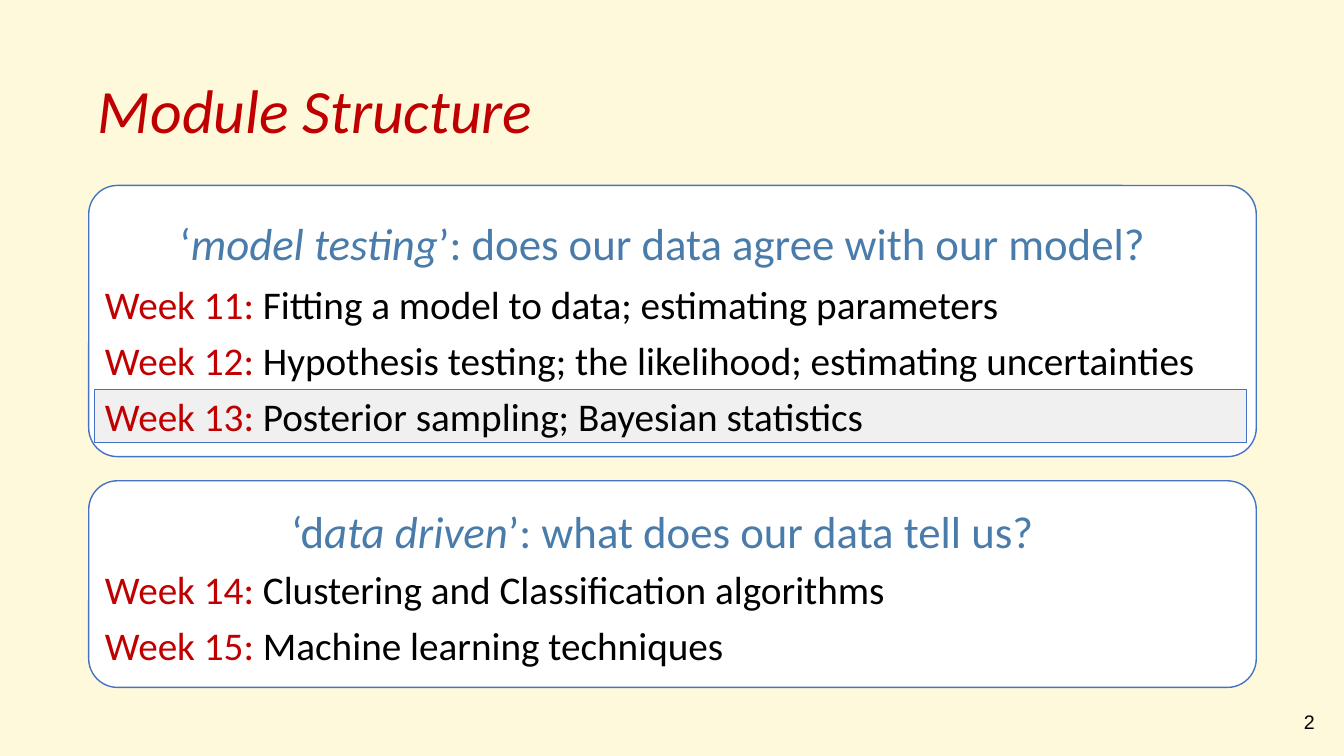
from dataclasses import dataclass

from pptx import Presentation
from pptx.dml.color import RGBColor as Rgb
from pptx.enum.shapes import MSO_SHAPE as Shape
from pptx.enum.text import MSO_ANCHOR as Anchor, PP_ALIGN as Align
from pptx.util import Inches, Pt

SLIDE_W, SLIDE_H = Inches(13.33), Inches(7.5)


@dataclass(frozen=True)
class Theme:
    """Colours, fonts and type sizes of the slide."""
    background: str = "FFF9DC"
    panel: str = "FFFFFF"
    highlight: str = "F0F0F0"
    outline: str = "4472C4"
    accent: str = "C00000"
    heading: str = "497CAA"
    ink: str = "000000"
    font: str = "Calibri"
    number_font: str = "Arial"
    title_size: int = 44
    heading_size: int = 32
    week_size: int = 28
    number_size: int = 14
    corner: float = 3.8
    week_pitch: float = 7.55


THEME = Theme()


def place(box):
    """Turn left, top, width and height in percent of the slide into lengths."""
    return [int(share * side / 100) for share, side in zip(box, (SLIDE_W, SLIDE_H) * 2)]


def add_outlined(slide, kind, box, fill, weight):
    """Add a filled preset shape with a thin outline."""
    outlined = slide.shapes.add_shape(kind, *place(box))
    outlined.shadow.inherit = False
    outlined.fill.solid()
    outlined.fill.fore_color.rgb = Rgb.from_string(fill)
    outlined.line.color.rgb = Rgb.from_string(THEME.outline)
    outlined.line.width = Pt(weight)
    return outlined


def add_text(slide, box, lines, size, font=THEME.font, frame_format=None, line_format=None, gap=0):
    """Add a text box whose lines are lists of (words, colour, italic) runs."""
    frame = slide.shapes.add_textbox(*place(box)).text_frame
    margins = dict.fromkeys(
        ("margin_left", "margin_top", "margin_right", "margin_bottom"), Inches(0.05))
    for name, value in {"word_wrap": True, **margins, **(frame_format or {})}.items():
        setattr(frame, name, value)
    for index, runs in enumerate(lines):
        line = frame.add_paragraph() if index else frame.paragraphs[0]
        spacing = {"space_before": Pt(gap)} if index else {}
        for name, value in {**(line_format or {}), **spacing}.items():
            setattr(line, name, value)
        for words, colour, italic in runs:
            run = line.add_run()
            run.text = words
            for name, value in {"name": font, "size": Pt(size), "italic": italic}.items():
                setattr(run.font, name, value)
            run.font.color.rgb = Rgb.from_string(colour)


def add_title(slide, box, title):
    """Place the slide title, centred vertically in its box."""
    add_text(slide, box, [[(title, THEME.accent, True)]], THEME.title_size,
             frame_format={"vertical_anchor": Anchor.MIDDLE},
             line_format={"line_spacing": 0.9})


def add_panel(slide, box, heading, weeks, heading_drop, weeks_drop, current=None):
    """Place a rounded panel with a heading, its weeks and the current week marked."""
    left, top, width, height = box
    panel = add_outlined(slide, Shape.ROUNDED_RECTANGLE, box, THEME.panel, 1)
    panel.adjustments[0] = THEME.corner / height
    weeks_top = top + weeks_drop
    if current is not None:
        marked_top = weeks_top + current * THEME.week_pitch - 0.67
        add_outlined(slide, Shape.RECTANGLE, (left + 0.45, marked_top, width - 1.2, 7.07),
                     THEME.highlight, 0.5)
    add_text(slide, (left, top + heading_drop, width - 1.45, 7.2),
             [[(words, THEME.heading, italic) for words, italic in heading]],
             THEME.heading_size, line_format={"alignment": Align.CENTER})
    add_text(slide, (left + 0.83, weeks_top, width - 3, len(weeks) * THEME.week_pitch),
             [[(f"Week {week}: ", THEME.accent, False), (topic, THEME.ink, False)]
              for week, topic in weeks.items()],
             THEME.week_size, line_format={"line_spacing": 0.9}, gap=10)


def add_page_number(slide, box, number):
    """Place the page number at the lower right."""
    add_text(slide, box, [[(number, THEME.ink, False)]], THEME.number_size, THEME.number_font,
             {"word_wrap": False, "vertical_anchor": Anchor.MIDDLE},
             {"alignment": Align.RIGHT})


def main():
    """Build the module structure slide and save it."""
    deck = Presentation()
    deck.slide_width, deck.slide_height = SLIDE_W, SLIDE_H
    slide = deck.slides.add_slide(deck.slide_layouts[6])
    slide.background.fill.solid()
    slide.background.fill.fore_color.rgb = Rgb.from_string(THEME.background)

    add_title(slide, (6.9, 5.33, 86.25, 19.33), "Module Structure")
    add_panel(slide, (6.6, 24.53, 86.87, 35.87),
              [("‘", False), ("model testing", True),
               ("’: does our data agree with our model?", False)],
              {11: "Fitting a model to data; estimating parameters",
               12: "Hypothesis testing; the likelihood; estimating uncertainties",
               13: "Posterior sampling; Bayesian statistics"},
              heading_drop=3.33, weeks_drop=12.53, current=2)
    add_panel(slide, (6.6, 63.6, 86.87, 27.33),
              [("‘d", False), ("ata driven", True),
               ("’: what does our data tell us?", False)],
              {14: "Clustering and Classification algorithms",
               15: "Machine learning techniques"},
              heading_drop=2.4, weeks_drop=11.2)
    add_page_number(slide, (96.62, 93.33, 1.58, 4.13), "2")
    deck.save("out.pptx")


if __name__ == "__main__":
    main()
